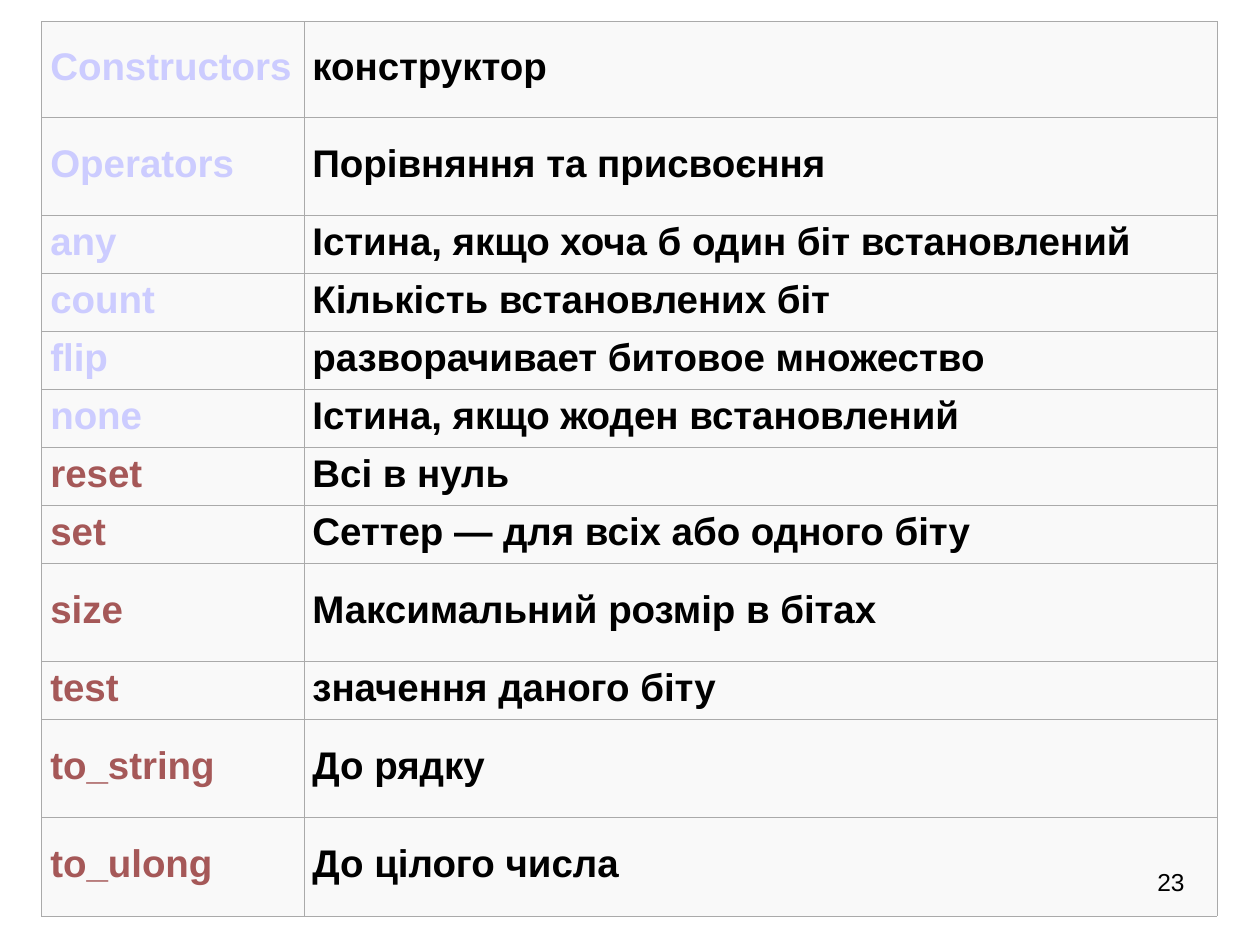
import pptx
import pptx.dml.color
import pptx.enum.text
import pptx.oxml
import pptx.oxml.ns
import pptx.util

Inches = pptx.util.Inches
Pt = pptx.util.Pt
RGBColor = pptx.dml.color.RGBColor

LAVENDER = RGBColor(0xCC, 0xCC, 0xFF)
BRICK = RGBColor(0xA5, 0x58, 0x58)
BLACK = RGBColor(0x00, 0x00, 0x00)
CELL_FILL = RGBColor(0xF9, 0xF9, 0xF9)
BORDER = RGBColor(0xAA, 0xAA, 0xAA)

FIRST, TALL, SHORT = 0.76, 0.78, 0.46
COLUMN_WIDTHS = (2.08, 7.25)

# Member name, description, name colour, row height
MEMBERS = [
    ("Constructors", "конструктор", LAVENDER, FIRST),
    ("Operators", "Порівняння та присвоєння", LAVENDER, TALL),
    ("any", "Істина, якщо хоча б один біт встановлений", LAVENDER, SHORT),
    ("count", "Кількість встановлених біт", LAVENDER, SHORT),
    ("flip", "разворачивает битовое множество", LAVENDER, SHORT),
    ("none", "Істина, якщо жоден встановлений", LAVENDER, SHORT),
    ("reset", "Всі в нуль", BRICK, SHORT),
    ("set", "Сеттер — для всіх або одного біту", BRICK, SHORT),
    ("size", "Максимальний розмір в бітах", BRICK, TALL),
    ("test", "значення даного біту", BRICK, SHORT),
    ("to_string", "До рядку", BRICK, TALL),
    ("to_ulong", "До цілого числа", BRICK, TALL),
]
PAGE_NUMBER = "23"


def format_paragraph(paragraph, size, color, bold=False):
    for run in paragraph.runs:
        run.font.name = "Arial"
        run.font.size = Pt(size)
        run.font.bold = bold
        run.font.color.rgb = color


def add_borders(cell):
    properties = cell._tc.get_or_add_tcPr()
    for index, side in enumerate(("lnL", "lnR", "lnT", "lnB")):
        line = pptx.oxml.parse_xml(
            f'<a:{side} {pptx.oxml.ns.nsdecls("a")} w="{Pt(0.06)}">'
            f'<a:solidFill><a:srgbClr val="{BORDER}"/></a:solidFill></a:{side}>'
        )
        properties.insert(index, line)


def fill_cell(cell, text, color):
    cell.text_frame.text = text
    cell.vertical_anchor = pptx.enum.text.MSO_ANCHOR.MIDDLE
    cell.margin_left = cell.margin_right = Inches(0.07)
    cell.margin_top = cell.margin_bottom = Inches(0.05)
    cell.fill.solid()
    cell.fill.fore_color.rgb = CELL_FILL
    paragraph = cell.text_frame.paragraphs[0]
    paragraph.line_spacing = 0.87
    format_paragraph(paragraph, 22, color, bold=True)
    add_borders(cell)


def add_member_table(slide):
    height = sum(member[3] for member in MEMBERS)
    table = slide.shapes.add_table(
        len(MEMBERS), len(COLUMN_WIDTHS), Inches(0.33), Inches(0.17),
        Inches(sum(COLUMN_WIDTHS)), Inches(height),
    ).table
    table.first_row = table.horz_banding = False
    for column, width in zip(table.columns, COLUMN_WIDTHS):
        column.width = Inches(width)
    for index, (name, description, color, row_height) in enumerate(MEMBERS):
        table.rows[index].height = Inches(row_height)
        fill_cell(table.cell(index, 0), name, color)
        fill_cell(table.cell(index, 1), description, BLACK)


def add_page_number(slide):
    box = slide.shapes.add_textbox(Inches(7.17), Inches(6.83), Inches(2.33), Inches(0.52))
    box.text_frame.word_wrap = True
    box.text_frame.text = PAGE_NUMBER
    paragraph = box.text_frame.paragraphs[0]
    paragraph.alignment = pptx.enum.text.PP_ALIGN.RIGHT
    format_paragraph(paragraph, 14, BLACK)


def main():
    presentation = pptx.Presentation()
    presentation.slide_width = Inches(10)
    presentation.slide_height = Inches(7.5)
    slide = presentation.slides.add_slide(presentation.slide_layouts[6])
    add_member_table(slide)
    add_page_number(slide)
    presentation.save("out.pptx")


if __name__ == "__main__":
    main()
